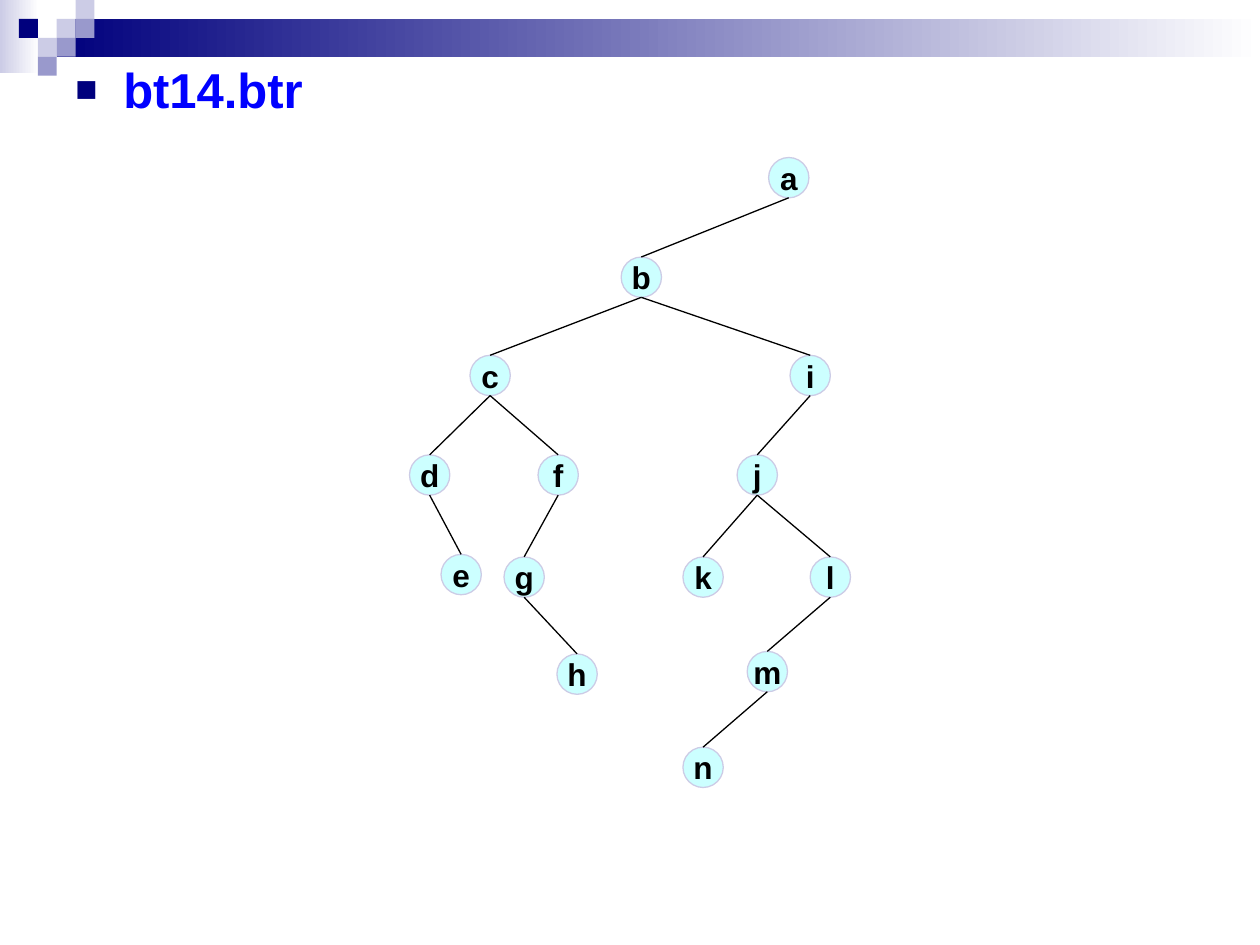
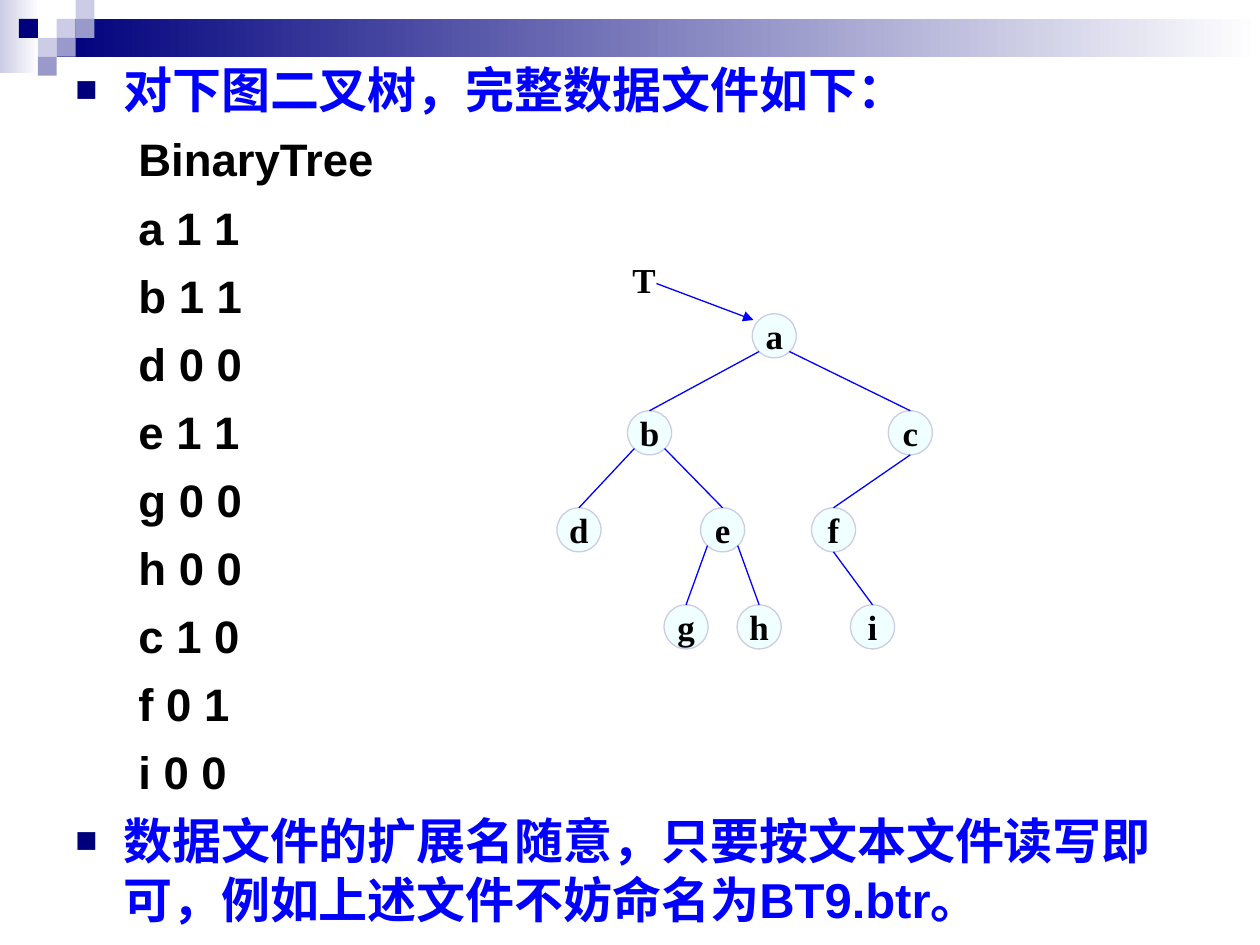
from dataclasses import dataclass

from lxml.etree import SubElement
from pptx import Presentation
from pptx.dml.color import RGBColor
from pptx.enum.shapes import MSO_CONNECTOR, MSO_SHAPE
from pptx.enum.text import MSO_ANCHOR, PP_ALIGN
from pptx.oxml.ns import qn
from pptx.shapes.autoshape import Shape
from pptx.shapes.connector import Connector
from pptx.slide import Slide
from pptx.util import Inches, Pt


@dataclass(frozen=True)
class Theme:
    navy: str = "00007D"
    lavender: str = "CCCCE6"
    periwinkle: str = "9999CC"
    white: str = "FFFFFF"
    blue: str = "0000FF"
    black: str = "000000"
    body_font: str = "Arial"
    tree_font: str = "Times New Roman"
    heading_size: float = 28
    record_size: float = 26
    line_width: float = 0.75


@dataclass(frozen=True)
class Square:
    column: int
    row: int
    color: str


@dataclass(frozen=True)
class TextLevel:
    size: float
    color: str
    margin: float
    indent: float
    space_before: float
    bulleted: bool


@dataclass(frozen=True)
class Node:
    name: str
    left: float
    top: float
    parent: str = ""


@dataclass(frozen=True)
class TreeStyle:
    """A branch leaves a forking parent fork_spread beside its centre, fork_depth below its top."""
    diameter: float
    fill: str
    line: str
    font: str
    size: float
    fork_spread: float
    fork_depth: float


THEME = Theme()
SQUARE_SIDE = 0.15
SQUARES = [
    Square(3, 1, THEME.lavender),
    Square(4, 0, THEME.lavender),
    Square(4, 1, THEME.periwinkle),
    Square(2, 2, THEME.lavender),
    Square(1, 1, THEME.navy),
    Square(3, 2, THEME.periwinkle),
    Square(2, 3, THEME.periwinkle),
]
HEADING = TextLevel(THEME.heading_size, THEME.blue, 0.38, -0.38, 7, True)
RECORD = TextLevel(THEME.record_size, THEME.black, 0.81, -0.31, 7.7, False)

LARGE_TREE_STYLE = TreeStyle(0.32, "CCFFFF", THEME.black, THEME.body_font, 18, 0, 0.32)
LARGE_TREE = [
    Node("a", 6.1, 1.25),
    Node("b", 4.93, 2.04, "a"),
    Node("c", 3.73, 2.82, "b"),
    Node("i", 6.27, 2.82, "b"),
    Node("d", 3.25, 3.61, "c"),
    Node("f", 4.27, 3.61, "c"),
    Node("j", 5.85, 3.61, "i"),
    Node("e", 3.5, 4.4, "d"),
    Node("g", 4, 4.42, "f"),
    Node("k", 5.42, 4.42, "j"),
    Node("l", 6.43, 4.42, "j"),
    Node("h", 4.42, 5.19, "g"),
    Node("m", 5.93, 5.17, "l"),
    Node("n", 5.42, 5.93, "m"),
]

SMALL_TREE_STYLE = TreeStyle(0.35, "F0FFFF", THEME.blue, THEME.tree_font, 20, 0.12, 0.3)
SMALL_TREE = [
    Node("a", 5.97, 2.49),
    Node("b", 4.98, 3.26, "a"),
    Node("c", 7.05, 3.26, "a"),
    Node("d", 4.42, 4.03, "b"),
    Node("e", 5.56, 4.03, "b"),
    Node("f", 6.44, 4.03, "c"),
    Node("g", 5.27, 4.8, "e"),
    Node("h", 5.85, 4.8, "e"),
    Node("i", 6.75, 4.8, "f"),
]
RECORDS = [
    "BinaryTree", "a 1 1", "b 1 1", "d 0 0", "e 1 1",
    "g 0 0", "h 0 0", "c 1 0", "f 0 1", "i 0 0",
]


def rgb(color: str) -> RGBColor:
    return RGBColor.from_string(color)


def add_run(paragraph, text: str, font: str, size: float, color: str) -> None:
    run = paragraph.add_run()
    run.text = text
    run.font.name = font
    run.font.size = Pt(size)
    run.font.bold = True
    run.font.color.rgb = rgb(color)


def add_rectangle(slide: Slide, left: float, top: float, width: float, height: float) -> Shape:
    shape = slide.shapes.add_shape(
        MSO_SHAPE.RECTANGLE, Inches(left), Inches(top), Inches(width), Inches(height))
    shape.shadow.inherit = False
    shape.line.fill.background()
    return shape


def add_gradient_band(slide: Slide, left: float, top: float, width: float, height: float,
                      start_color: str) -> None:
    fill = add_rectangle(slide, left, top, width, height).fill
    fill.gradient()
    fill.gradient_angle = 0
    for stop, color in zip(fill.gradient_stops, (start_color, THEME.white)):
        stop.color.rgb = rgb(color)


def add_header(slide: Slide) -> None:
    add_gradient_band(slide, 0, 0, 0.31, 0.58, THEME.lavender)
    add_gradient_band(slide, 0.45, 0.15, 9.55, 0.3, THEME.navy)
    for square in SQUARES:
        shape = add_rectangle(slide, square.column * SQUARE_SIDE, square.row * SQUARE_SIDE,
                              SQUARE_SIDE, SQUARE_SIDE)
        shape.fill.solid()
        shape.fill.fore_color.rgb = rgb(square.color)


def format_level(paragraph, level: TextLevel) -> None:
    paragraph.space_before = Pt(level.space_before)
    properties = paragraph._p.get_or_add_pPr()
    properties.set("marL", str(Inches(level.margin)))
    properties.set("indent", str(Inches(level.indent)))
    if level.bulleted:
        bullet_color = SubElement(properties, qn("a:buClr"))
        SubElement(bullet_color, qn("a:srgbClr"), val=THEME.navy)
        SubElement(properties, qn("a:buSzPct"), val="75000")
        SubElement(properties, qn("a:buFont"), typeface=THEME.body_font)
        SubElement(properties, qn("a:buChar"), char="■")
    else:
        SubElement(properties, qn("a:buNone"))


def add_body(slide: Slide, lines: list[tuple[str, TextLevel]]) -> None:
    box = slide.shapes.add_textbox(Inches(0.5), Inches(0.42), Inches(9.08), Inches(7.08))
    frame = box.text_frame
    frame.word_wrap = True
    for index, (text, level) in enumerate(lines):
        paragraph = frame.add_paragraph() if index else frame.paragraphs[0]
        format_level(paragraph, level)
        add_run(paragraph, text, THEME.body_font, level.size, level.color)


def add_line(slide: Slide, start: tuple[float, float], end: tuple[float, float],
             color: str) -> Connector:
    connector = slide.shapes.add_connector(
        MSO_CONNECTOR.STRAIGHT, *(Inches(value) for value in (*start, *end)))
    connector.line.color.rgb = rgb(color)
    connector.line.width = Pt(THEME.line_width)
    SubElement(connector._element.spPr, qn("a:effectLst"))
    return connector


def add_node(slide: Slide, node: Node, style: TreeStyle) -> Shape:
    diameter = Inches(style.diameter)
    shape = slide.shapes.add_shape(
        MSO_SHAPE.OVAL, Inches(node.left), Inches(node.top), diameter, diameter)
    shape.shadow.inherit = False
    shape.fill.solid()
    shape.fill.fore_color.rgb = rgb(style.fill)
    shape.line.color.rgb = rgb(THEME.lavender)
    shape.line.width = Pt(THEME.line_width)
    frame = shape.text_frame
    frame.margin_left = frame.margin_right = frame.margin_top = frame.margin_bottom = 0
    frame.word_wrap = False
    frame.vertical_anchor = MSO_ANCHOR.MIDDLE
    paragraph = frame.paragraphs[0]
    paragraph.alignment = PP_ALIGN.CENTER
    add_run(paragraph, node.name, style.font, style.size, THEME.black)
    return shape


def branch_start(parent: Node, child: Node, forks: bool, style: TreeStyle) -> tuple[float, float]:
    center = parent.left + style.diameter / 2
    if not forks:
        return center, parent.top + style.diameter
    side = 1 if child.left > parent.left else -1
    return center + side * style.fork_spread, parent.top + style.fork_depth


def add_tree(slide: Slide, nodes: list[Node], style: TreeStyle) -> None:
    shapes = {node.name: add_node(slide, node, style) for node in nodes}
    by_name = {node.name: node for node in nodes}
    parents = [node.parent for node in nodes]
    for child in nodes:
        if child.parent:
            forks = parents.count(child.parent) > 1
            start = branch_start(by_name[child.parent], child, forks, style)
            end = (child.left + style.diameter / 2, child.top)
            branch = add_line(slide, start, end, style.line)
            branch.end_connect(shapes[child.name], 0)


def add_root_pointer(slide: Slide) -> None:
    label = slide.shapes.add_textbox(Inches(4.92), Inches(2), Inches(0.46), Inches(0.44))
    label.text_frame.word_wrap = True
    add_run(label.text_frame.paragraphs[0], "T", THEME.tree_font, SMALL_TREE_STYLE.size,
            THEME.black)
    arrow = add_line(slide, (5.21, 2.25), (5.98, 2.54), THEME.blue)
    SubElement(arrow.line._get_or_add_ln(), qn("a:tailEnd"), type="triangle")


def add_slide(presentation) -> Slide:
    slide = presentation.slides.add_slide(presentation.slide_layouts[6])
    add_header(slide)
    return slide


def main() -> None:
    presentation = Presentation()
    presentation.slide_width = Inches(10)
    presentation.slide_height = Inches(7.5)

    large_tree_slide = add_slide(presentation)
    add_body(large_tree_slide, [("bt14.btr", HEADING)])
    add_tree(large_tree_slide, LARGE_TREE, LARGE_TREE_STYLE)

    data_file_slide = add_slide(presentation)
    add_body(data_file_slide, [
        ("对下图二叉树，完整数据文件如下：", HEADING),
        *((record, RECORD) for record in RECORDS),
        ("数据文件的扩展名随意，只要按文本文件读写即可，例如上述文件不妨命名为BT9.btr。", HEADING),
    ])
    add_tree(data_file_slide, SMALL_TREE, SMALL_TREE_STYLE)
    add_root_pointer(data_file_slide)

    presentation.save("out.pptx")


if __name__ == "__main__":
    main()
